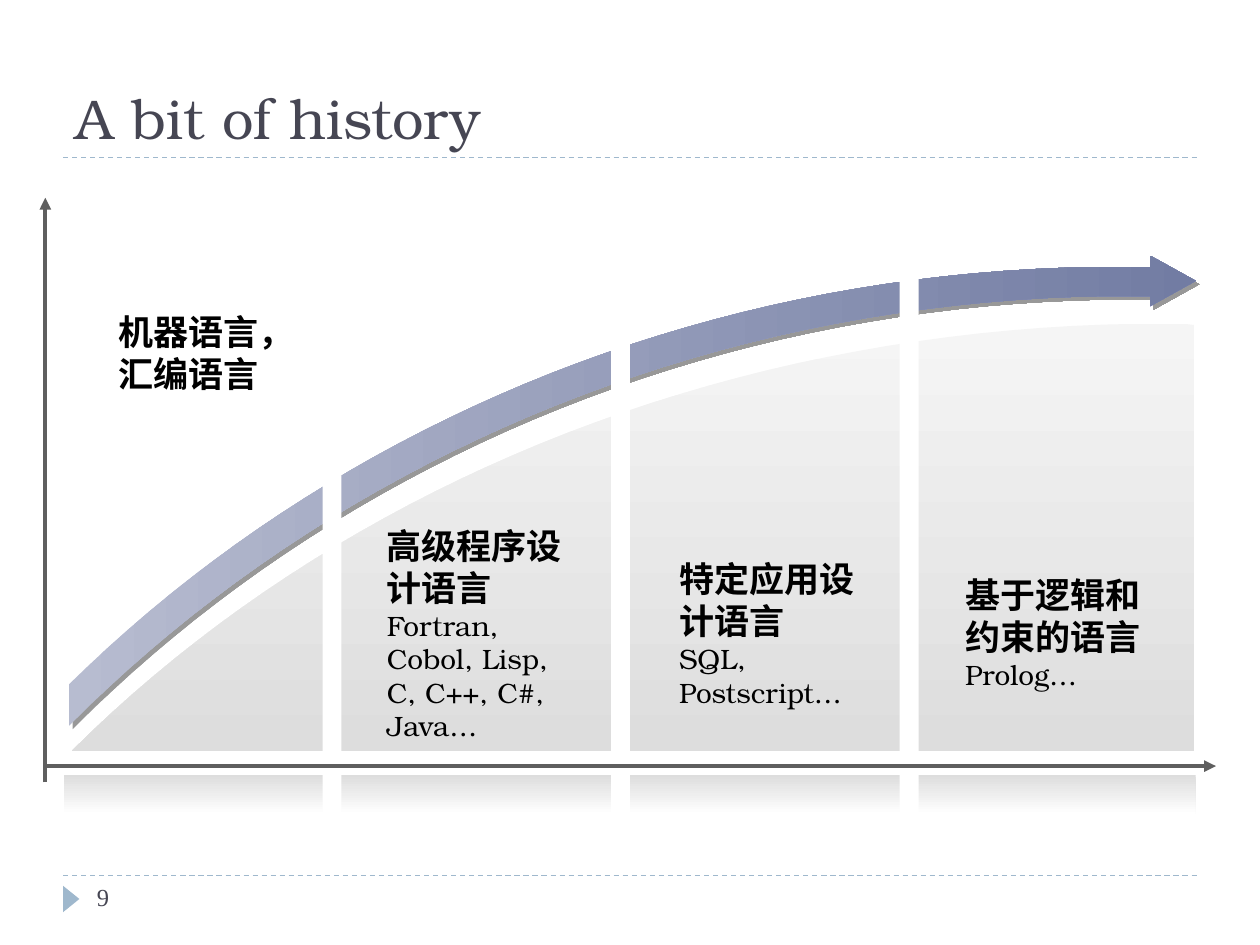
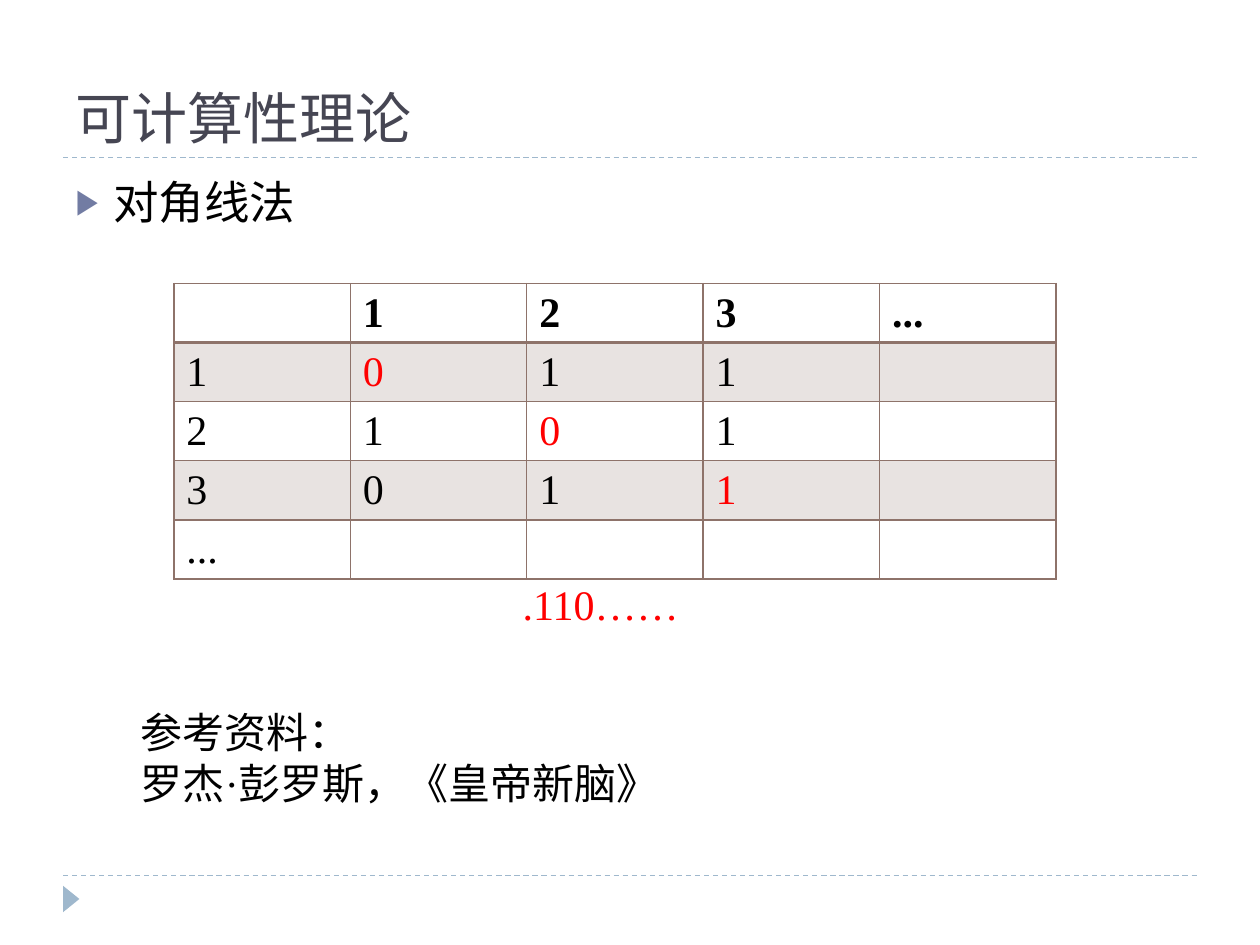
from dataclasses import dataclass
from typing import NamedTuple, Optional

from lxml import etree
from pptx import Presentation
from pptx.dml.color import RGBColor
from pptx.enum.dml import MSO_LINE
from pptx.enum.shapes import MSO_CONNECTOR, MSO_SHAPE
from pptx.enum.text import MSO_ANCHOR, MSO_AUTO_SIZE, PP_ALIGN
from pptx.oxml.ns import qn
from pptx.util import Emu, Pt

STRAIGHT = MSO_CONNECTOR.STRAIGHT
RECTANGLE = MSO_SHAPE.RECTANGLE
TRIANGLE = MSO_SHAPE.ISOSCELES_TRIANGLE
DASH = MSO_LINE.DASH
TOP, MIDDLE, BOTTOM = MSO_ANCHOR.TOP, MSO_ANCHOR.MIDDLE, MSO_ANCHOR.BOTTOM
FIXED, GROW = MSO_AUTO_SIZE.NONE, MSO_AUTO_SIZE.SHAPE_TO_FIT_TEXT
LEFT = PP_ALIGN.LEFT

EMU_PER_PX = 9144
CURVE_STEPS = 40
TITLE_ONLY, TITLE_AND_BODY = 5, 1


@dataclass(frozen=True)
class Theme:
    ink: str = "000000"
    title: str = "464653"
    frame: str = "9FB8CD"
    bullet: str = "727CA3"
    white: str = "FFFFFF"
    highlight: str = "FF0000"
    axis: str = "5F5F5F"
    shadow: str = "333333"
    area_light: str = "F5F5F5"
    area_dark: str = "DDDDDD"
    arrow_light: str = "B7BCD0"
    arrow_dark: str = "727CA3"
    table_line: str = "8E736A"
    table_band: str = "E8E3E1"
    serif: str = "TeX Gyre Bonum"
    times: str = "Times New Roman"
    sans: str = "Calibri"
    chinese: str = "Noto Sans CJK SC"
    title_size: int = 32
    body_size: int = 26
    table_size: int = 24
    heading_size: int = 20
    example_size: int = 16
    number_size: int = 14


THEME = Theme()


class Box(NamedTuple):
    left: int
    top: int
    width: int
    height: int


class Point(NamedTuple):
    x: float
    y: float


class Style(NamedTuple):
    font: str
    size: int
    color: str = THEME.ink
    bold: bool = False


class Era(NamedTuple):
    box: Box
    heading: str
    examples: Optional[str] = None


TITLE = Style(THEME.serif, THEME.title_size, THEME.title)
BODY = Style(THEME.sans, THEME.body_size)
NUMBER = Style(THEME.times, THEME.number_size, THEME.title)
HEADING = Style(THEME.chinese, THEME.heading_size, bold=True)
EXAMPLES = Style(THEME.serif, THEME.example_size)
CELL = Style(THEME.times, THEME.table_size)
HEADER = CELL._replace(bold=True)
DIAGONAL = CELL._replace(color=THEME.highlight)

TITLE_BOX = Box(50, 17, 900, 108)
BODY_BOX = Box(50, 133, 900, 540)
ERAS = [
    Era(Box(94, 246, 144, 67), "机器语言， 汇编语言"),
    Era(Box(307, 415, 144, 175), "高级程序设计语言", "Fortran, Cobol, Lisp, C, C++, C#, Java…"),
    Era(Box(539, 442, 144, 121), "特定应用设计语言", "SQL, Postscript…"),
    Era(Box(766, 455, 144, 94), "基于逻辑和约束的语言", "Prolog…"),
]
GAP_TOPS = [357, 233, 191]
GAP_LEFT, GAP_STEP, GAP_WIDTH, GAP_BOTTOM = 256, 229, 15, 667
TABLE_ROWS = [
    ["", "1", "2", "3", "..."],
    ["1", "0", "1", "1", ""],
    ["2", "1", "0", "1", ""],
    ["3", "0", "1", "1", ""],
    ["...", "", "", "", ""],
]


def px(length: float) -> Emu:
    return Emu(round(length * EMU_PER_PX))


def emu_box(box: Box) -> list[Emu]:
    return [px(length) for length in box]


def rgb(color: str) -> RGBColor:
    return RGBColor.from_string(color)


def add_child(parent, tag: str, **attributes):
    return etree.SubElement(parent, qn(tag), attributes)


def add_span(para, text: str, style: Style) -> None:
    span = para.add_run()
    span.text = text
    span.font.name = style.font
    span.font.size = Pt(style.size)
    span.font.bold = style.bold
    span.font.color.rgb = rgb(style.color)
    add_child(span._r.get_or_add_rPr(), "a:ea", typeface=THEME.chinese)


def add_text(page, box: Box, lines: list[tuple[str, Style]], anchor=TOP,
             inset: Optional[int] = None, wrap: bool = True) -> None:
    frame = page.shapes.add_textbox(*emu_box(box)).text_frame
    frame.word_wrap = wrap
    frame.auto_size = GROW
    frame.vertical_anchor = anchor
    if inset is not None:
        frame.margin_left = frame.margin_right = px(inset)
        frame.margin_top = frame.margin_bottom = px(inset)
    for index, (text, style) in enumerate(lines):
        para = frame.add_paragraph() if index else frame.paragraphs[0]
        add_span(para, text, style)


def fill_placeholder(placeholder, box: Box, text: str, style: Style, anchor):
    placeholder.left, placeholder.top, placeholder.width, placeholder.height = emu_box(box)
    frame = placeholder.text_frame
    frame.auto_size = FIXED
    frame.vertical_anchor = anchor
    para = frame.paragraphs[0]
    para.alignment = LEFT
    add_span(para, text, style)
    return para


def add_line(page, start: Point, end: Point, color: str, weight: float,
             dashed: bool = False, arrow: bool = False) -> None:
    line = page.shapes.add_connector(STRAIGHT, px(start.x), px(start.y), px(end.x), px(end.y))
    line.line.color.rgb = rgb(color)
    line.line.width = Pt(weight)
    if dashed:
        line.line.dash_style = DASH
    properties = line.element.spPr
    if arrow:
        add_child(properties.find(qn("a:ln")), "a:tailEnd", type="triangle")
    add_child(properties, "a:effectLst")


def paint(shape, colors: list[str], angle: int = 0) -> None:
    shape.shadow.inherit = False
    shape.line.fill.background()
    if len(colors) == 1:
        shape.fill.solid()
        shape.fill.fore_color.rgb = rgb(colors[0])
        return
    shape.fill.gradient()
    shape.fill.gradient_angle = angle
    for stop, color in zip(shape.fill.gradient_stops, colors):
        stop.color.rgb = rgb(color)


def add_block(page, kind, box: Box, colors: list[str], angle: int = 0):
    block = page.shapes.add_shape(kind, *emu_box(box))
    paint(block, colors, angle)
    return block


def curve(start: Point, pull: Point, push: Point, end: Point) -> list[Point]:
    points = []
    for step in range(CURVE_STEPS + 1):
        t = step / CURVE_STEPS
        weights = ((1 - t) ** 3, 3 * t * (1 - t) ** 2, 3 * t * t * (1 - t), t ** 3)
        corners = (start, pull, push, end)
        points.append(Point(sum(w * c.x for w, c in zip(weights, corners)),
                            sum(w * c.y for w, c in zip(weights, corners))))
    return points


def add_outline(page, points: list[Point], colors: list[str], angle: int):
    first, *rest = [(px(point.x), px(point.y)) for point in points]
    builder = page.shapes.build_freeform(*first, scale=1.0)
    builder.add_line_segments(rest, close=True)
    outline = builder.convert_to_shape()
    paint(outline, colors, angle)
    return outline


def add_page(deck, layout: int, title: str):
    page = deck.slides.add_slide(deck.slide_layouts[layout])
    for y in (695, 125):
        add_line(page, Point(50, y), Point(950, y), THEME.frame, 0.75, dashed=True)
    marker = add_block(page, TRIANGLE, Box(46, 707, 21, 13), [THEME.frame])
    marker.rotation = 90
    fill_placeholder(page.shapes.title, TITLE_BOX, title, TITLE, BOTTOM)
    return page


def add_growth_shapes(page) -> None:
    add_block(page, RECTANGLE, Box(0, 199, 998, 447), [THEME.white])
    add_block(page, RECTANGLE, Box(51, 615, 898, 31), [THEME.area_dark, THEME.white], 270)
    area = [Point(948, 596), Point(948, 258), Point(940, 257)]
    area += curve(Point(902, 257), Point(564, 262), Point(262, 392), Point(57, 596))
    add_outline(page, area, [THEME.area_light, THEME.area_dark], 270)
    arrow = [Point(949, 223), Point(913, 203), Point(913, 212)]
    arrow += curve(Point(868, 212), Point(547, 217), Point(259, 343), Point(55, 543))
    arrow += curve(Point(55, 576), Point(259, 370), Point(552, 240), Point(878, 235))
    arrow += [Point(913, 235), Point(913, 243)]
    trend = add_outline(page, arrow, [THEME.arrow_light, THEME.arrow_dark], 0)
    effects = trend.element.spPr.find(qn("a:effectLst"))
    shadow = add_child(effects, "a:outerShdw", blurRad="0", dist=str(Pt(2.8)),
                       dir="2700000", algn="ctr", rotWithShape="0")
    add_child(add_child(shadow, "a:srgbClr", val=THEME.shadow), "a:alpha", val="50000")


def build_history(deck) -> None:
    page = add_page(deck, TITLE_ONLY, "A bit of history")
    add_text(page, Box(67, 695, 217, 40), [("9", NUMBER)])
    add_growth_shapes(page)
    for index, top in enumerate(GAP_TOPS):
        gap = Box(GAP_LEFT + index * GAP_STEP, top, GAP_WIDTH, GAP_BOTTOM - top)
        add_block(page, RECTANGLE, gap, [THEME.white])
    for start, end in ((Point(36, 621), Point(36, 157)), (Point(35, 608), Point(965, 608))):
        add_line(page, start, end, THEME.axis, 2.25, arrow=True)
    for era in ERAS:
        lines = [(era.heading, HEADING)]
        if era.examples:
            lines.append((era.examples, EXAMPLES))
        add_text(page, era.box, lines, MIDDLE, inset=0)


def add_border(cell, side: str, weight: int) -> None:
    border = add_child(cell._tc.get_or_add_tcPr(), f"a:ln{side}", w=str(Pt(weight)))
    add_child(add_child(border, "a:solidFill"), "a:srgbClr", val=THEME.table_line)


def add_diagonal_table(page) -> None:
    size = len(TABLE_ROWS)
    table = page.shapes.add_table(size, size, *emu_box(Box(138, 225, 700, 210))).table
    table.first_row = table.horz_banding = False
    for row, texts in enumerate(TABLE_ROWS):
        for column, text in enumerate(texts):
            cell = table.cell(row, column)
            weights = {"L": 1, "R": 1, "T": 2 if row == 1 else 1, "B": 1 if row else 2}
            for side, weight in weights.items():
                add_border(cell, side, weight)
            if row % 2:
                cell.fill.solid()
                cell.fill.fore_color.rgb = rgb(THEME.table_band)
            else:
                cell.fill.background()
            if text:
                style = HEADER if row == 0 else DIAGONAL if row == column else CELL
                add_span(cell.text_frame.paragraphs[0], text, style)


def build_computability(deck) -> None:
    page = add_page(deck, TITLE_AND_BODY, "可计算性理论")
    para = fill_placeholder(page.placeholders[1], BODY_BOX, "对角线法", BODY, TOP)
    para.space_before = Pt(6)
    properties = para._p.get_or_add_pPr()
    properties.set("marL", str(px(30)))
    properties.set("indent", str(px(-30)))
    add_child(add_child(properties, "a:buClr"), "a:srgbClr", val=THEME.bullet)
    add_child(properties, "a:buSzPct", val="76000")
    add_child(properties, "a:buChar", char="▶")
    add_diagonal_table(page)
    add_text(page, Box(405, 454, 144, 50), [(".110……", DIAGONAL)], wrap=False)
    add_text(page, Box(102, 556, 431, 91),
             [("参考资料：", CELL), ("罗杰·彭罗斯，《皇帝新脑》", CELL)])


def main() -> None:
    deck = Presentation()
    deck.slide_width, deck.slide_height = px(1000), px(750)
    build_history(deck)
    build_computability(deck)
    deck.save("out.pptx")


if __name__ == "__main__":
    main()
